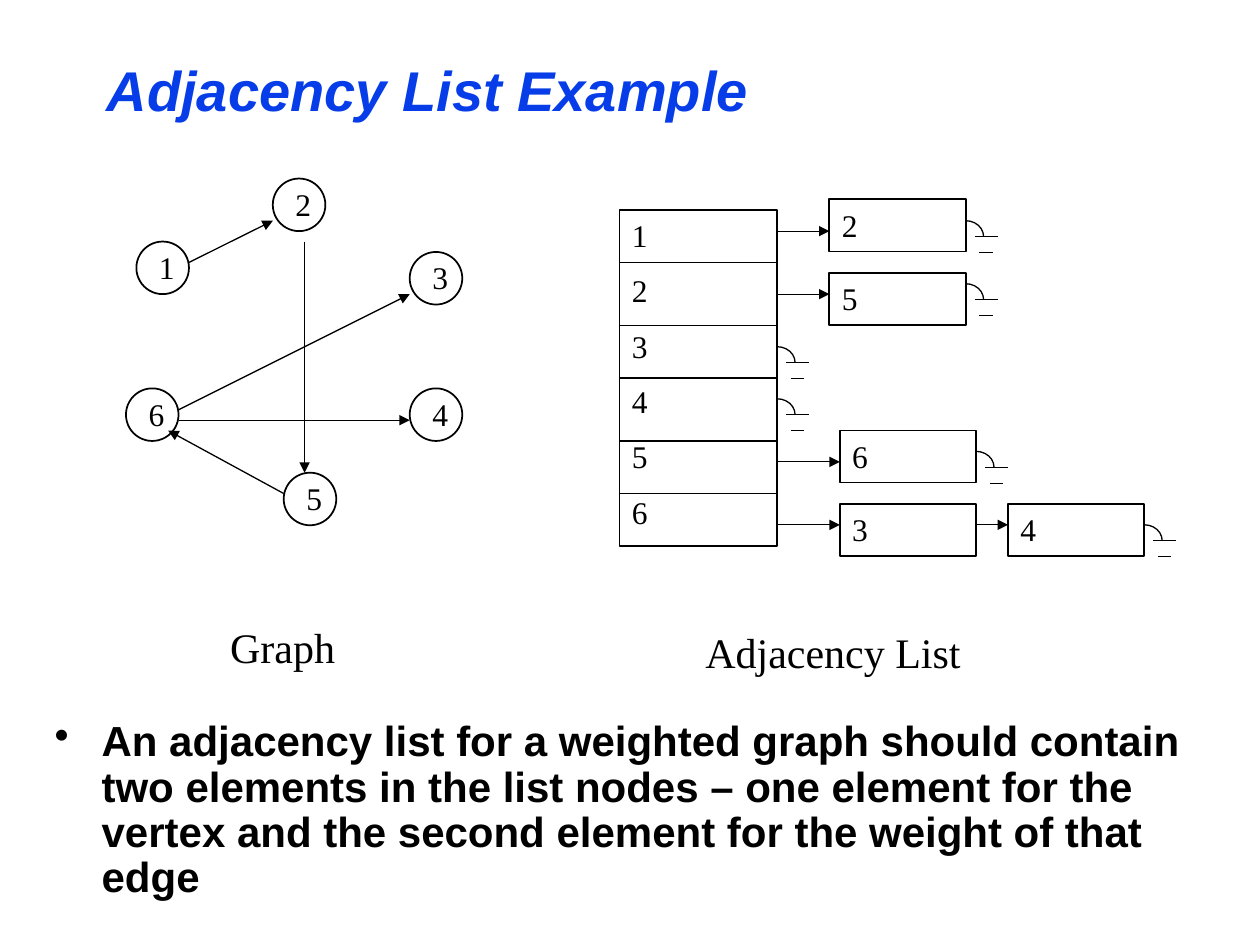
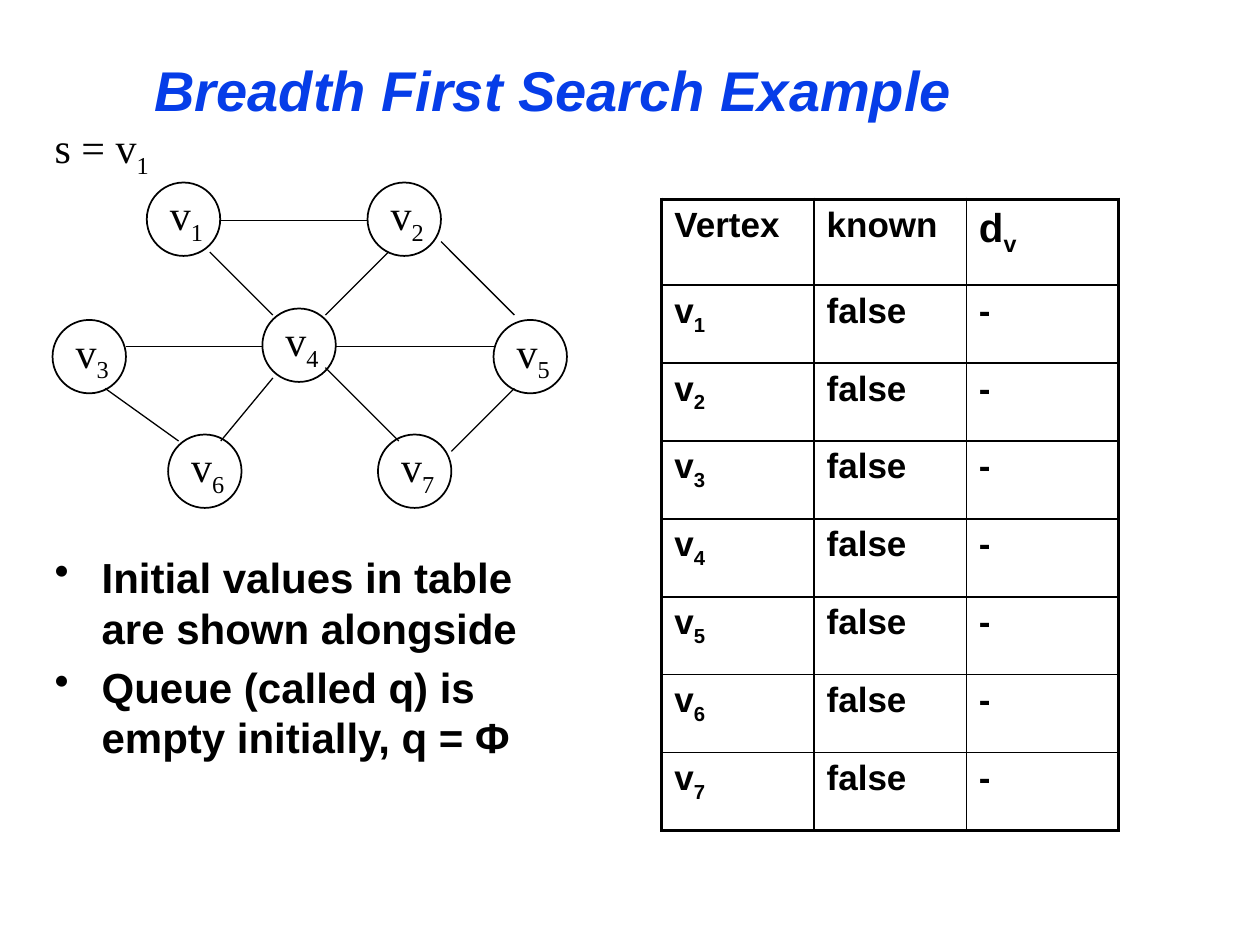
from lxml import etree
from pptx import Presentation
from pptx.dml.color import RGBColor
from pptx.enum.shapes import MSO_CONNECTOR, MSO_SHAPE
from pptx.enum.text import MSO_ANCHOR, MSO_AUTO_SIZE, PP_ALIGN
from pptx.oxml.ns import qn
from pptx.util import Cm, Pt

STRAIGHT = MSO_CONNECTOR.STRAIGHT
ARC, OVAL, RECTANGLE = MSO_SHAPE.ARC, MSO_SHAPE.OVAL, MSO_SHAPE.RECTANGLE
LEFT, TOP, MIDDLE = PP_ALIGN.LEFT, MSO_ANCHOR.TOP, MSO_ANCHOR.MIDDLE
NO_AUTOFIT = MSO_AUTO_SIZE.NONE

COLORS = {"title": "063DE8", "ink": "000000"}
INK = RGBColor.from_string(COLORS["ink"])
SANS, SERIF = "Arial", "Times New Roman"


def write(frame, paragraphs, face, size, color="ink", bold=False, italic=False,
          gap=0, bullet=False, spacing=None):
    """Fill a frame; the part of a paragraph after "_" is a subscript."""
    for i, content in enumerate(paragraphs):
        paragraph = frame.paragraphs[0] if i == 0 else frame.add_paragraph()
        paragraph.alignment = LEFT
        paragraph.space_before = Pt(gap if i else 0)
        if spacing:
            paragraph.line_spacing = spacing
        if bullet:
            properties = paragraph._p.get_or_add_pPr()
            properties.set("marL", str(Cm(0.95)))
            properties.set("indent", str(-Cm(0.95)))
            etree.SubElement(properties, qn("a:buChar"), char="•")
        for j, part in enumerate(content.split("_")):
            run = paragraph.add_run()
            run.text = part
            run.font.name, run.font.size = face, Pt(size)
            run.font.bold, run.font.italic = bold, italic
            run.font.color.rgb = RGBColor.from_string(COLORS[color])
            if j:
                run._r.get_or_add_rPr().set("baseline", "-25000")


def draw_line(slide, x1, y1, x2, y2, arrow=False):
    line = slide.shapes.add_connector(STRAIGHT, Cm(x1), Cm(y1), Cm(x2), Cm(y2))
    line.line.color.rgb = INK
    line.line.width = Pt(0.75)
    if arrow:
        etree.SubElement(line.line._get_or_add_ln(), qn("a:tailEnd"), type="triangle")
    etree.SubElement(line._element.spPr, qn("a:effectLst"))


prs = Presentation()
prs.slide_width, prs.slide_height = Cm(25.4), Cm(19.05)
title_only = prs.slide_layouts[5]

# Slides and their titles
slides = []
for heading, left, top, width, height in [
    ("Adjacency List Example", 1.9, 0.85, 21.59, 1.9),
    ("Breadth First Search Example", 2.86, 1.02, 19.84, 1.55),
]:
    slide = prs.slides.add_slide(title_only)
    title = slide.shapes.title
    title.left, title.top, title.width, title.height = Cm(left), Cm(top), Cm(width), Cm(height)
    title.text_frame.auto_size = NO_AUTOFIT
    title.text_frame.vertical_anchor = MIDDLE
    write(title.text_frame, [heading], SANS, 32, "title", bold=True, italic=True)
    slides.append(slide)
list_slide, search_slide = slides

# Graphs: nodes as circles, edges as lines
directed_nodes = [("1", 2.75, 4.87), ("2", 5.5, 3.6), ("3", 8.26, 5.08),
                  ("4", 8.26, 7.83), ("5", 5.72, 9.53), ("6", 2.54, 7.83)]
directed_edges = [(3.81, 5.29, 5.5, 4.45), (6.14, 4.87, 6.14, 9.53),
                  (3.6, 8.26, 8.26, 5.93), (3.6, 8.47, 8.26, 8.47),
                  (5.72, 9.95, 3.39, 8.68)]
search_nodes = [("v_1", 2.96, 3.68), ("v_2", 7.41, 3.68), ("v_3", 1.06, 6.45),
                ("v_4", 5.29, 6.22), ("v_5", 9.95, 6.45), ("v_6", 3.39, 8.76),
                ("v_7", 7.62, 8.76)]
search_edges = [(4.45, 4.45, 7.41, 4.45), (8.89, 4.87, 10.37, 6.35),
                (4.23, 5.08, 5.5, 6.35), (7.83, 5.08, 6.56, 6.35),
                (5.29, 6.99, 2.54, 6.99), (6.77, 6.99, 9.95, 6.99),
                (2.12, 7.83, 3.6, 8.89), (5.5, 7.62, 4.45, 8.89),
                (6.56, 7.41, 8.04, 8.89), (10.37, 7.83, 9.1, 9.1)]
for slide, nodes, edges, diameter, size, inset_left, inset_top, directed in [
    (list_slide, directed_nodes, directed_edges, 1.06, 18, 0.3, -0.03, True),
    (search_slide, search_nodes, search_edges, 1.48, 24, 0.25, -0.09, False),
]:
    for label, x, y in nodes:
        node = slide.shapes.add_shape(OVAL, Cm(x), Cm(y), Cm(diameter), Cm(diameter))
        node.shadow.inherit = False
        node.fill.background()
        node.line.color.rgb = INK
        node.line.width = Pt(1)
        frame = node.text_frame
        frame.vertical_anchor = TOP
        frame.margin_left, frame.margin_top = Cm(inset_left), Cm(inset_top)
        frame.margin_right = frame.margin_bottom = 0
        write(frame, [label], SERIF, size)
    for edge in edges:
        draw_line(slide, *edge, arrow=directed)

# Adjacency list: vertex column and list cells
LIST_LEFT, LIST_RIGHT, CELL_WIDTH = 12.49, 15.67, 2.75
list_boxes = [(list("123456"), LIST_LEFT, 4.23, LIST_RIGHT - LIST_LEFT, 6.78)]
cells = [("2", 16.72, 4.02), ("5", 16.72, 5.5), ("6", 16.93, 8.68),
         ("3", 16.93, 10.16), ("4", 20.32, 10.16)]
list_boxes += [([label], x, y, CELL_WIDTH, 1.05) for label, x, y in cells]
for labels, x, y, width, height in list_boxes:
    box = list_slide.shapes.add_shape(RECTANGLE, Cm(x), Cm(y), Cm(width), Cm(height))
    box.shadow.inherit = False
    box.fill.background()
    box.line.color.rgb = INK
    box.line.width = Pt(1)
    box.text_frame.vertical_anchor = TOP
    write(box.text_frame, labels, SERIF, 18, gap=10)
for y in (5.29, 6.56, 7.62, 8.89, 9.95):
    draw_line(list_slide, LIST_LEFT, y, LIST_RIGHT, y)

# Links between cells
for x1, x2, y in [(LIST_RIGHT, 16.72, 4.66), (LIST_RIGHT, 16.72, 5.93),
                  (LIST_RIGHT, 16.93, 9.31), (LIST_RIGHT, 16.93, 10.58),
                  (16.93 + CELL_WIDTH, 20.32, 10.58)]:
    draw_line(list_slide, x1, y, x2, y, arrow=True)

# Null marks: a quarter arc over two plates
for x, y in [(16.72 + CELL_WIDTH, 4.45), (16.72 + CELL_WIDTH, 5.72),
             (LIST_RIGHT, 6.99), (LIST_RIGHT, 8.04),
             (16.93 + CELL_WIDTH, 9.1), (20.32 + CELL_WIDTH, 10.58)]:
    null_arc = list_slide.shapes.add_shape(ARC, Cm(x - 0.36), Cm(y), Cm(0.72), Cm(0.64))
    null_arc.shadow.inherit = False
    null_arc.fill.background()
    null_arc.line.color.rgb = INK
    null_arc.line.width = Pt(0.75)
    draw_line(list_slide, x + 0.18, y + 0.32, x + 0.64, y + 0.32)
    draw_line(list_slide, x + 0.27, y + 0.64, x + 0.54, y + 0.64)

# Captions
for slide, caption, x, y, width in [
    (list_slide, "Graph", 4.39, 12.4, 2.62),
    (list_slide, "Adjacency List", 13.97, 12.5, 5.66),
    (search_slide, "s = v_1", 0.85, 2.33, 2.44),
]:
    caption_box = slide.shapes.add_textbox(Cm(x), Cm(y), Cm(width), Cm(1.27))
    write(caption_box.text_frame, [caption], SERIF, 24)

# Bulleted notes
for slide, bullets, y, width, height, spacing in [
    (list_slide,
     ["An adjacency list for a weighted graph should contain two elements in the list "
      "nodes – one element for the vertex and the second element for the weight of that edge"],
     14.4, 23.93, 3.18, 0.9),
    (search_slide,
     ["Initial values in table are shown alongside",
      "Queue (called q) is empty initially, q = Φ"],
     11, 11, 6.78, 1.0),
]:
    bullet_box = slide.shapes.add_textbox(Cm(0.85), Cm(y), Cm(width), Cm(height))
    bullet_box.text_frame.word_wrap = True
    write(bullet_box.text_frame, bullets, SANS, 24, bold=True, gap=4.8,
          bullet=True, spacing=spacing)

# Table of initial search values
rows = [("Vertex", "known", "d_v")] + [(f"v_{n}", "false", "-") for n in range(1, 8)]
last_row, last_column = len(rows) - 1, len(rows[0]) - 1
table = search_slide.shapes.add_table(
    len(rows), len(rows[0]), Cm(13.34), Cm(4.02), Cm(9.21), Cm(12.72)).table
table.first_row = table.horz_banding = False
for column in table.columns:
    column.width = Cm(3.07)
for r, values in enumerate(rows):
    table.rows[r].height = Cm(1.57 if r else 1.73)
    for c, value in enumerate(values):
        cell = table.cell(r, c)
        cell.fill.background()
        write(cell.text_frame, [value], SANS, 23 if value == "d_v" else 20, bold=True)
        outer_edges = [("L", c == 0), ("R", c == last_column),
                       ("T", r == 0), ("B", r == last_row)]
        for position, (side, outer) in enumerate(outer_edges):
            border = etree.Element(qn(f"a:ln{side}"), w=str(Pt(2.25 if outer else 1)))
            border_fill = etree.SubElement(border, qn("a:solidFill"))
            etree.SubElement(border_fill, qn("a:srgbClr"), val=COLORS["ink"])
            cell._tc.get_or_add_tcPr().insert(position, border)

prs.save("out.pptx")
